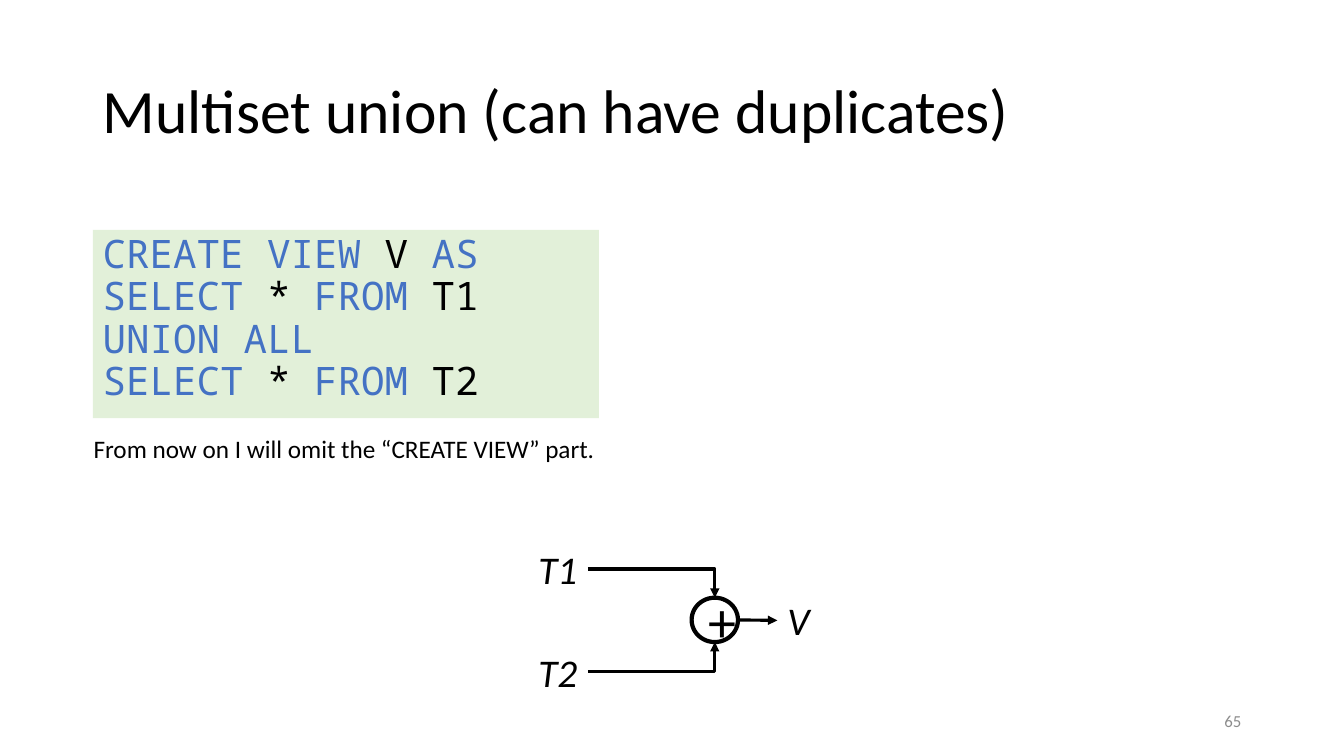
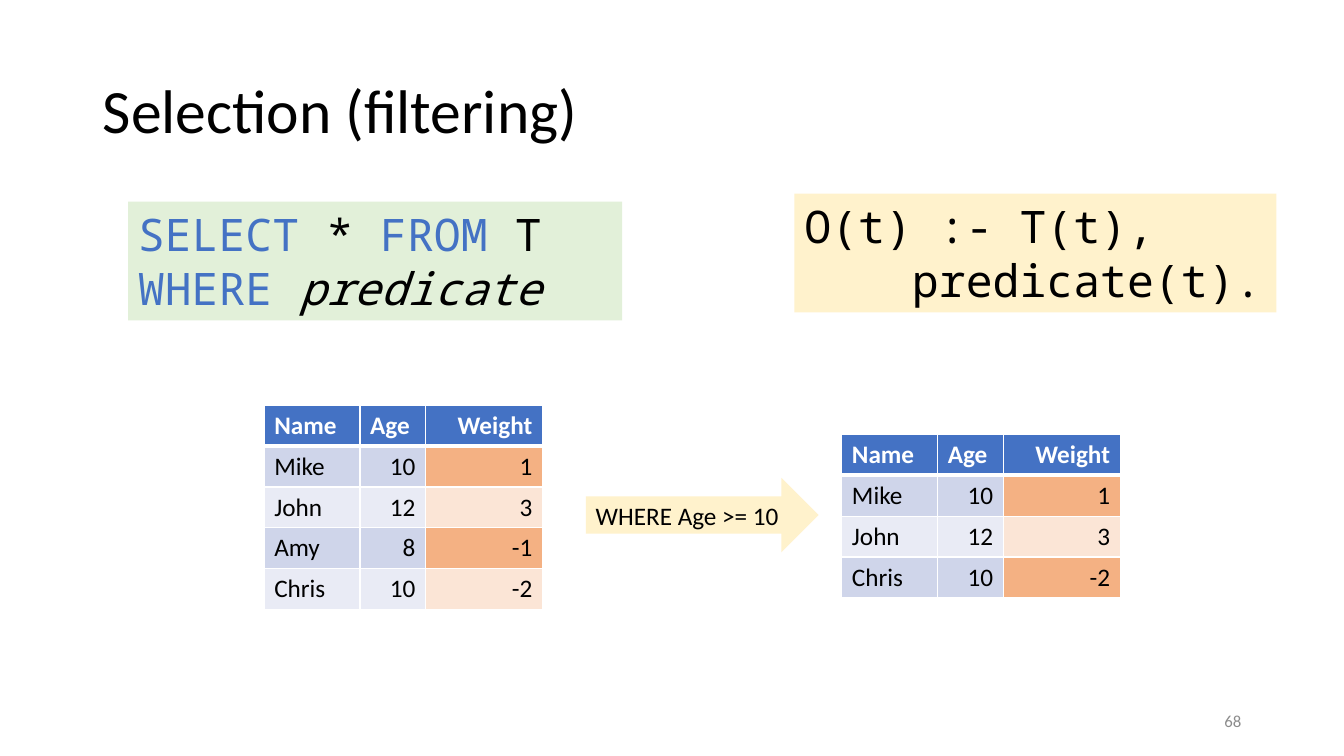
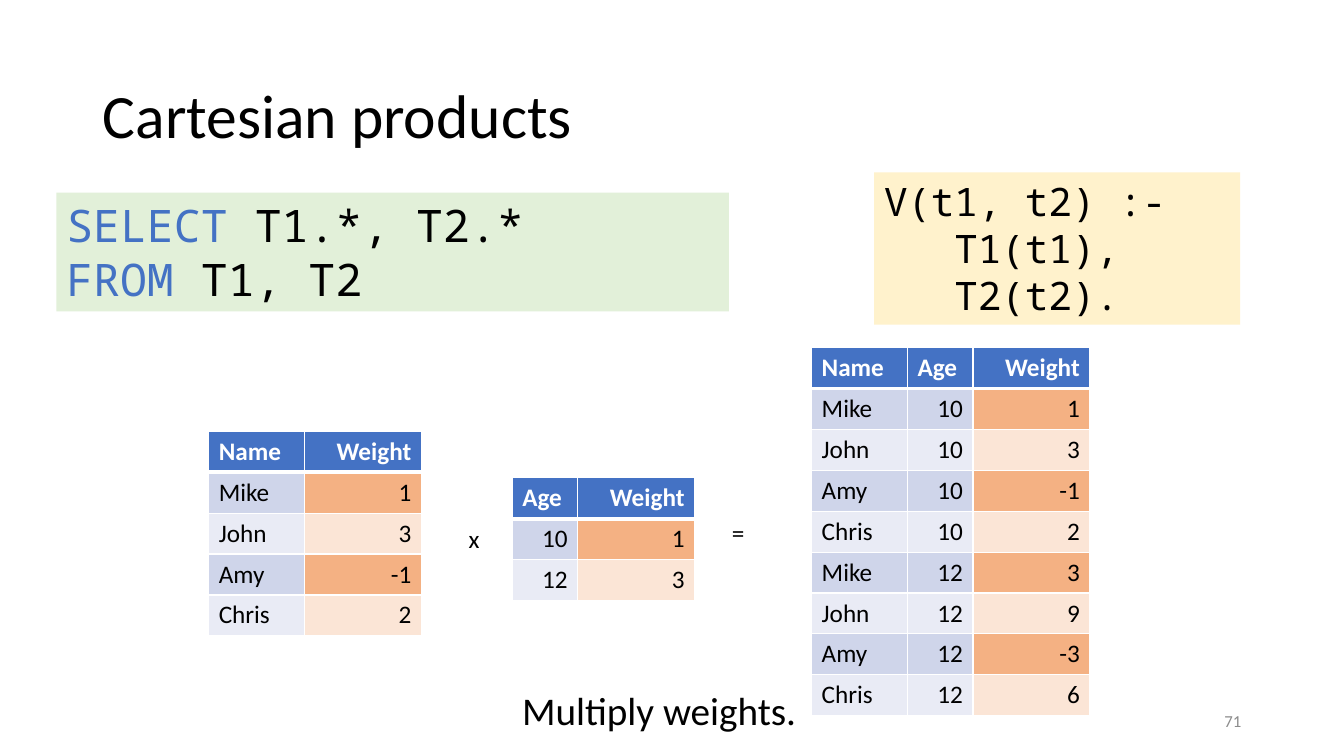
from itertools import groupby

from lxml import etree
from pptx import Presentation
from pptx.dml.color import RGBColor
from pptx.enum.shapes import MSO_CONNECTOR, MSO_SHAPE
from pptx.enum.text import MSO_ANCHOR, MSO_AUTO_SIZE, PP_ALIGN
from pptx.oxml.ns import qn
from pptx.util import Emu, Pt

STRAIGHT, ELBOW = MSO_CONNECTOR.STRAIGHT, MSO_CONNECTOR.ELBOW
RECTANGLE, OVAL, RIGHT_ARROW = MSO_SHAPE.RECTANGLE, MSO_SHAPE.OVAL, MSO_SHAPE.RIGHT_ARROW
LEFT, CENTER, RIGHT = PP_ALIGN.LEFT, PP_ALIGN.CENTER, PP_ALIGN.RIGHT
TOP, MIDDLE = MSO_ANCHOR.TOP, MSO_ANCHOR.MIDDLE
NO_FIT, GROW = MSO_AUTO_SIZE.NONE, MSO_AUTO_SIZE.SHAPE_TO_FIT_TEXT

EMU_PER_PX = 9144
SANS, MONO = "Calibri", "Noto Sans Mono"
TITLE_ONLY = 5
OVAL_TOP, OVAL_BOTTOM, OVAL_RIGHT = 0, 4, 6
RECT_LEFT, RECT_RIGHT = 1, 3

COLORS = {
    "ink": "000000",
    "paper": "FFFFFF",
    "keyword": "4472C4",
    "header": "4472C4",
    "sql": "E2F0D9",
    "datalog": "FFF2CC",
    "number": "8C8C8C",
    "band": ("E9EBF5", "CFD5EA"),
    "weight_band": ("FBE5D6", "F4B183"),
}
KEYWORDS = {"CREATE", "VIEW", "AS", "SELECT", "FROM", "UNION", "ALL", "WHERE"}
COLUMN_WIDTHS = {"Name": 95, "Age": 65, "Weight": 116}
ROW_HEIGHT = 40


def px(*lengths):
    return [Emu(length * EMU_PER_PX) for length in lengths]


def rgb(hex_color):
    return RGBColor.from_string(hex_color)


def style_font(font, size, color=COLORS["ink"], name=SANS, bold=False, italic=False):
    font.name, font.size = name, Pt(size)
    font.bold, font.italic = bold, italic
    font.color.rgb = rgb(color)


def write(frame, text, size, align=LEFT, anchor=TOP, **style):
    frame.vertical_anchor = anchor
    paragraph = frame.paragraphs[0]
    paragraph.text = text
    paragraph.alignment = align
    style_font(paragraph.font, size, **style)
    return paragraph


def add_titled_slide(deck, title, number, top=40):
    slide = deck.slides.add_slide(deck.slide_layouts[TITLE_ONLY])
    heading = slide.shapes.title
    heading.left, heading.top, heading.width, heading.height = px(92, top, 1150, 145)
    heading.text_frame.auto_size = NO_FIT
    write(heading.text_frame, title, 44, anchor=MIDDLE).line_spacing = 0.9
    add_label(slide, (1199, 695, 42, 40), str(number), 12, wrap=True, fit=NO_FIT,
              align=RIGHT, anchor=MIDDLE, color=COLORS["number"])
    return slide


def add_label(slide, box, text, size, wrap=False, fit=GROW, **style):
    label = slide.shapes.add_textbox(*px(*box))
    label.text_frame.word_wrap = wrap
    label.text_frame.auto_size = fit
    write(label.text_frame, text, size, **style)
    return label


def add_filled(slide, geometry, box, fill):
    shape = slide.shapes.add_shape(geometry, *px(*box))
    shape.shadow.inherit = False
    shape.fill.solid()
    shape.fill.fore_color.rgb = rgb(fill)
    shape.line.fill.background()
    shape.text_frame.word_wrap = True
    return shape


def word_role(word):
    if word in KEYWORDS:
        return "keyword"
    return "variable" if word == "predicate" else "plain"


def add_code(slide, box, fill, lines, size, spacing=1.0):
    frame = add_filled(slide, RECTANGLE, box, fill).text_frame
    paragraph = write(frame, "", size, name=MONO)
    paragraph.line_spacing = spacing
    for index, line in enumerate(lines):
        if index:
            paragraph.add_line_break()
        groups = [(role, " ".join(words)) for role, words in groupby(line.split(" "), word_role)]
        for position, (role, words) in enumerate(groups, 1):
            run = paragraph.add_run()
            run.text = words if position == len(groups) else words + " "
            if role == "keyword":
                run.font.color.rgb = rgb(COLORS["keyword"])
            elif role == "variable":
                run.font.italic = True


def add_arrow(slide, kind, start, end):
    arrow = slide.shapes.add_connector(kind, *px(*start, *end))
    arrow.line.color.rgb = rgb(COLORS["ink"])
    arrow.line.width = Pt(2.25)
    properties = arrow._element.spPr
    etree.SubElement(properties.find(qn("a:ln")), qn("a:tailEnd"), type="triangle")
    etree.SubElement(properties, qn("a:effectLst"))
    if kind == ELBOW:
        properties.find(qn("a:prstGeom")).set("prst", "bentConnector2")
    return arrow


def glue(arrow, end_tag, shape, site):
    links = arrow._element.nvCxnSpPr.cNvCxnSpPr
    etree.SubElement(links, qn(end_tag), id=str(shape.shape_id), idx=str(site))


def set_borders(cell, row):
    properties = cell._tc.get_or_add_tcPr()
    widths = {"a:lnL": 1, "a:lnR": 1, "a:lnT": 3 if row == 1 else 1, "a:lnB": 3 if row == 0 else 1}
    for tag, width in widths.items():
        border = etree.SubElement(properties, qn(tag), w=str(Pt(width)))
        fill = etree.SubElement(border, qn("a:solidFill"))
        etree.SubElement(fill, qn("a:srgbClr"), val=COLORS["paper"])


def add_relation(slide, left, top, columns, records):
    rows = [columns, *records]
    width = sum(COLUMN_WIDTHS[column] for column in columns)
    box = px(left, top, width, ROW_HEIGHT * len(rows))
    relation = slide.shapes.add_table(len(rows), len(columns), *box).table
    for position, column in enumerate(columns):
        relation.columns[position].width = px(COLUMN_WIDTHS[column])[0]
        bands = COLORS["weight_band" if column == "Weight" else "band"]
        for row, values in enumerate(rows):
            header = row == 0
            cell = relation.cell(row, position)
            set_borders(cell, row)
            cell.fill.solid()
            cell.fill.fore_color.rgb = rgb(COLORS["header"] if header else bands[row % 2])
            to_right = column == "Weight" or (column == "Age" and not header)
            write(cell.text_frame, str(values[position]), 18, align=RIGHT if to_right else LEFT,
                  color=COLORS["paper" if header else "ink"], bold=header)


def build_union(deck):
    slide = add_titled_slide(deck, "Multiset union (can have duplicates)", 65)
    query = ["CREATE VIEW V AS", "SELECT * FROM T1", "UNION ALL", "SELECT * FROM T2"]
    add_code(slide, (92, 228, 502, 187), COLORS["sql"], query, 28, spacing=0.9)
    add_label(slide, (83, 425, 523, 40), "From now on I will omit the “CREATE VIEW” part.", 18, wrap=True)

    plus = add_filled(slide, OVAL, (686, 593, 46, 44), COLORS["paper"])
    plus.line.color.rgb = rgb(COLORS["ink"])
    plus.line.width = Pt(3)
    write(plus.text_frame, "+", 40, align=CENTER, anchor=MIDDLE)

    for name, top, entry_y, site in (("T1", 536, 593, OVAL_TOP), ("T2", 638, 637, OVAL_BOTTOM)):
        source = add_label(slide, (524, top, 59, 57), name, 28, italic=True)
        inflow = add_arrow(slide, ELBOW, (583, top + 29), (709, entry_y))
        inflow.begin_connect(source, RECT_RIGHT)
        glue(inflow, "a:endCxn", plus, site)

    view = add_label(slide, (771, 587, 42, 57), "V", 28, italic=True)
    outflow = add_arrow(slide, STRAIGHT, (732, 615), (771, 615))
    glue(outflow, "a:stCxn", plus, OVAL_RIGHT)
    outflow.end_connect(view, RECT_LEFT)


def build_selection(deck):
    slide = add_titled_slide(deck, "Selection (filtering)", 68)
    add_code(slide, (788, 192, 478, 118), COLORS["datalog"], ["O(t) :- T(t),", "    predicate(t)."], 32)
    add_code(slide, (127, 200, 490, 118), COLORS["sql"], ["SELECT * FROM T", "WHERE predicate"], 32)

    columns = ["Name", "Age", "Weight"]
    people = [("Mike", 10, 1), ("John", 12, 3), ("Amy", 8, -1), ("Chris", 10, -2)]
    add_relation(slide, 262, 402, columns, people)
    add_relation(slide, 835, 431, columns, [person for person in people if person[1] >= 10])

    condition = add_filled(slide, RIGHT_ARROW, (581, 474, 231, 74), COLORS["datalog"])
    write(condition.text_frame, "WHERE Age >= 10", 18, anchor=MIDDLE)


def build_product(deck):
    slide = add_titled_slide(deck, "Cartesian products", 71, top=45)
    rule = ["V(t1, t2) :-", "   T1(t1),", "   T2(t2)."]
    add_code(slide, (867, 171, 363, 151), COLORS["datalog"], rule, 28)
    add_code(slide, (56, 191, 667, 118), COLORS["sql"], ["SELECT T1.*, T2.*", "FROM T1, T2"], 32)

    names = [("Mike", 1), ("John", 3), ("Amy", -1), ("Chris", 2)]
    ages = [(10, 1), (12, 3)]
    pairs = [(name, age, name_weight * age_weight)
             for age, age_weight in ages for name, name_weight in names]
    add_relation(slide, 207, 428, ["Name", "Weight"], names)
    add_relation(slide, 508, 474, ["Age", "Weight"], ages)
    add_relation(slide, 805, 345, ["Name", "Age", "Weight"], pairs)

    add_label(slide, (455, 514, 31, 40), "x", 18)
    add_label(slide, (716, 508, 33, 40), "=", 18)
    add_label(slide, (508, 676, 401, 57), "Multiply weights.", 28, wrap=True)


def main():
    deck = Presentation()
    deck.slide_width, deck.slide_height = px(1333, 750)
    build_union(deck)
    build_selection(deck)
    build_product(deck)
    deck.save("out.pptx")


if __name__ == "__main__":
    main()
